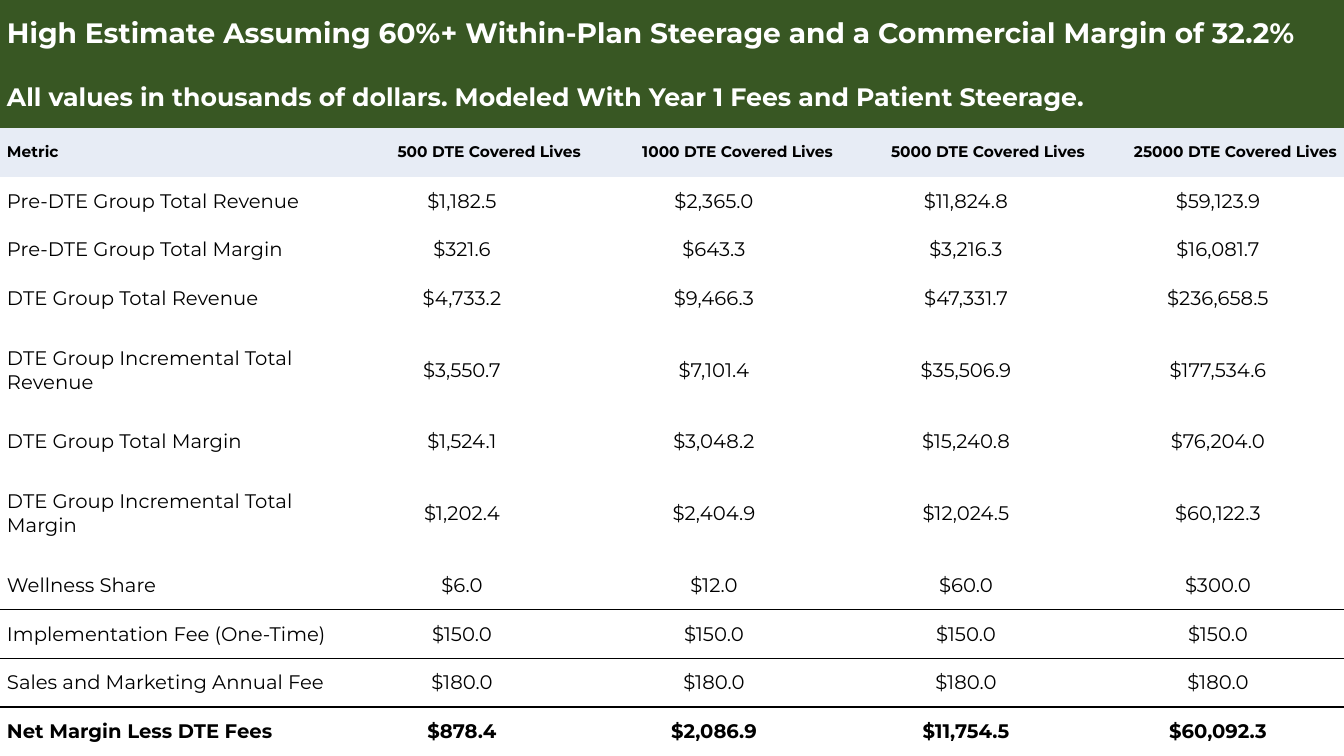
import pptx
import pptx.util
import pptx.oxml
import pptx.dml.color
import pptx.enum.text
import lxml.etree

Pt = pptx.util.Pt
ALIGN = pptx.enum.text.PP_ALIGN
GREEN, PALE, WHITE, BLACK = "385723", "E7ECF5", "FFFFFF", "000000"
PLAIN = "{2D5ABB26-0587-4C30-8999-92F81FD0307C}"  # table style without grid

BANNERS = [
    ("High Estimate Assuming 60%+ Within-Plan Steerage and a Commercial Margin of 32.2%", 20, 48.2),
    ("All values in thousands of dollars. Modeled With Year 1 Fees and Patient Steerage.", 18, 43.2),
]
LIVES = [500, 1000, 5000, 25000]
METRICS = [
    ("Pre-DTE Group Total Revenue", "$1,182.5", "$2,365.0", "$11,824.8", "$59,123.9"),
    ("Pre-DTE Group Total Margin", "$321.6", "$643.3", "$3,216.3", "$16,081.7"),
    ("DTE Group Total Revenue", "$4,733.2", "$9,466.3", "$47,331.7", "$236,658.5"),
    ("DTE Group Incremental Total Revenue", "$3,550.7", "$7,101.4", "$35,506.9", "$177,534.6"),
    ("DTE Group Total Margin", "$1,524.1", "$3,048.2", "$15,240.8", "$76,204.0"),
    ("DTE Group Incremental Total Margin", "$1,202.4", "$2,404.9", "$12,024.5", "$60,122.3"),
    ("Wellness Share", "$6.0", "$12.0", "$60.0", "$300.0"),
    ("Implementation Fee (One-Time)", "$150.0", "$150.0", "$150.0", "$150.0"),
    ("Sales and Marketing Annual Fee", "$180.0", "$180.0", "$180.0", "$180.0"),
    ("Net Margin Less DTE Fees", "$878.4", "$2,086.9", "$11,754.5", "$60,092.3"),
]
RULED = {"Wellness Share", "Sales and Marketing Annual Fee"}  # rows with a line below
TOTAL = METRICS[-1][0]
HEAD = len(BANNERS)
LOW, TALL = 34.8, 67.7


def color(code):
    return pptx.dml.color.RGBColor.from_string(code)


def write(cell, text, size, bold=True, ink=BLACK, fill=None, align=ALIGN.LEFT):
    cell.margin_left = cell.margin_right = Pt(5)
    cell.margin_top = cell.margin_bottom = 0
    cell.vertical_anchor = pptx.enum.text.MSO_ANCHOR.MIDDLE
    cell.text_frame.text = text
    para = cell.text_frame.paragraphs[0]
    para.alignment = align
    font = para.runs[0].font
    font.name, font.size, font.bold = "Montserrat", Pt(size), bold
    font.color.rgb = color(ink)
    if fill:
        cell.fill.solid()
        cell.fill.fore_color.rgb = color(fill)
    else:
        cell.fill.background()


def rule(cell, side):
    """Draw a black line on side 'T' or 'B' of a cell."""
    line = pptx.oxml.parse_xml(
        '<a:ln%s xmlns:a="http://schemas.openxmlformats.org/drawingml/2006/main" w="%d">'
        '<a:solidFill><a:srgbClr val="%s"/></a:solidFill></a:ln%s>'
        % (side, Pt(1), BLACK, side))
    cell.fill.background()
    cell._tc.tcPr.insert(0, line)


def fill_banners(table):
    for row, (text, size, height) in enumerate(BANNERS):
        table.rows[row].height = Pt(height)
        first = table.cell(row, 0)
        first.merge(table.cell(row, len(LIVES)))
        write(first, text, size, ink=WHITE, fill=GREEN)


def fill_header(table):
    table.rows[HEAD].height = Pt(LOW)
    write(table.cell(HEAD, 0), "Metric", 11, fill=PALE)
    for col, count in enumerate(LIVES, 1):
        write(table.cell(HEAD, col), f"{count} DTE Covered Lives", 11,
              fill=PALE, align=ALIGN.RIGHT)


def fill_metrics(table):
    for row, texts in enumerate(METRICS, HEAD + 1):
        name = texts[0]
        table.rows[row].height = Pt(TALL if "Incremental" in name else LOW)
        for col, text in enumerate(texts):
            cell = table.cell(row, col)
            write(cell, text, 14, bold=name == TOTAL,
                  align=ALIGN.CENTER if col else ALIGN.LEFT)
            if name in RULED:
                rule(cell, "B")
                rule(table.cell(row + 1, col), "T")


def add_grid(slide, left, top, width, height):
    count = HEAD + 1 + len(METRICS)
    frame = slide.shapes.add_table(count, len(LIVES) + 1, Pt(left), Pt(top),
                                   Pt(width), Pt(height))
    table = frame.table
    table.first_row = table.horz_banding = False
    table._tbl.tblPr.find(pptx.oxml.ns.qn("a:tableStyleId")).text = PLAIN
    for col, column in enumerate(table.columns):
        column.width = Pt(width * (3 / 16 if col else 1 / 4))
    fill_banners(table)
    fill_header(table)
    fill_metrics(table)


def main():
    deck = pptx.Presentation()
    deck.slide_width, deck.slide_height = Pt(960), Pt(540)
    slide = deck.slides.add_slide(deck.slide_layouts[6])
    add_grid(slide, 0, 0, 960, 540)
    deck.save("out.pptx")


if __name__ == "__main__":
    main()
